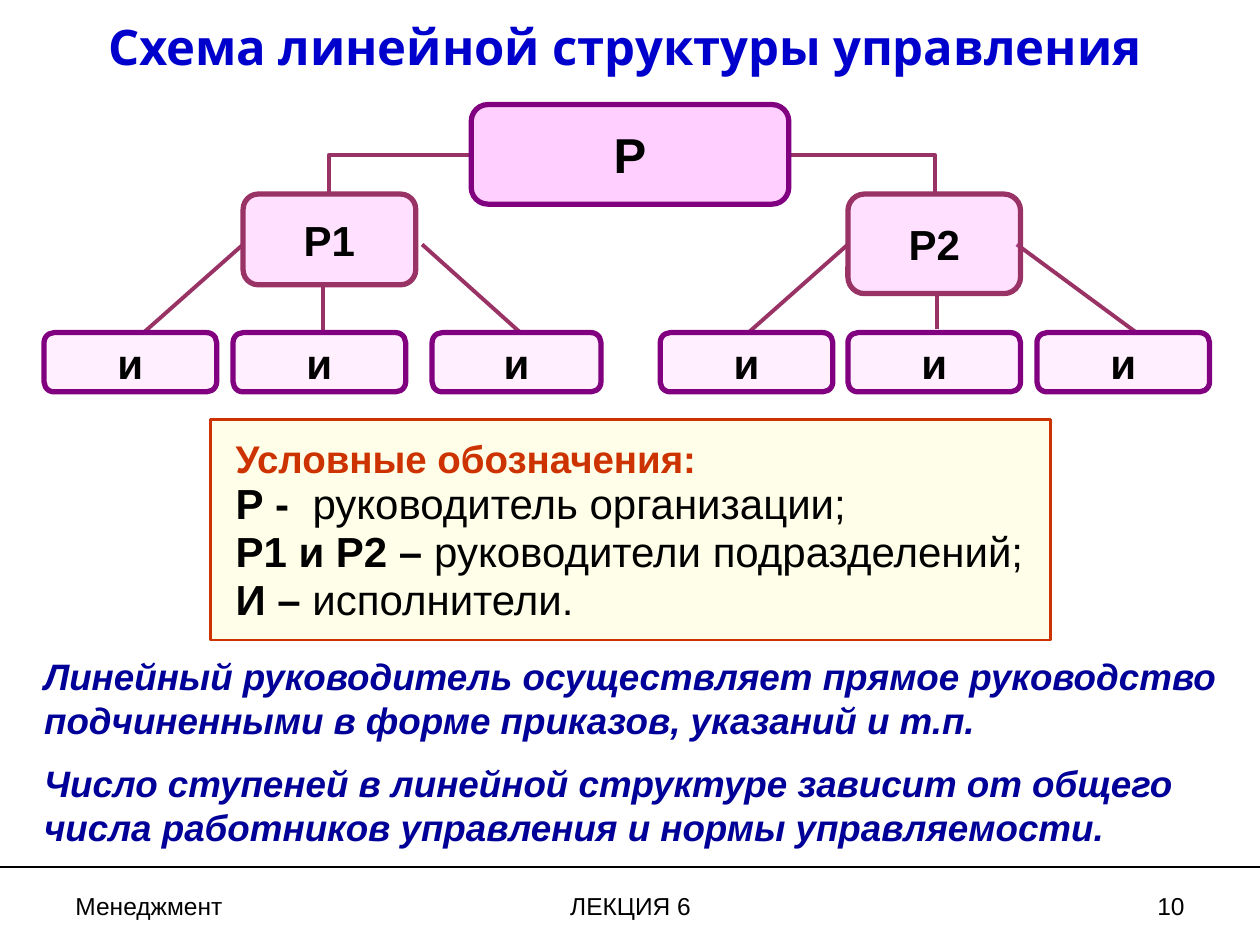
from lxml import etree
from pptx import Presentation
from pptx.dml.color import RGBColor
from pptx.enum.shapes import MSO_CONNECTOR, MSO_SHAPE
from pptx.enum.text import MSO_ANCHOR, PP_ALIGN
from pptx.oxml.ns import qn
from pptx.util import Inches, Pt

ROUND, RECT = MSO_SHAPE.ROUNDED_RECTANGLE, MSO_SHAPE.RECTANGLE
LINE, ELBOW = MSO_CONNECTOR.STRAIGHT, MSO_CONNECTOR.ELBOW
LEFT, MID, RIGHT = PP_ALIGN.LEFT, PP_ALIGN.CENTER, PP_ALIGN.RIGHT
TOP, CENTER = MSO_ANCHOR.TOP, MSO_ANCHOR.MIDDLE
BLACK = RGBColor(0x00, 0x00, 0x00)
BLUE = RGBColor(0x00, 0x00, 0xCC)
NAVY = RGBColor(0x00, 0x00, 0x99)
RED = RGBColor(0xCC, 0x33, 0x00)
CREAM = RGBColor(0xFF, 0xFF, 0xE9)
PINK = RGBColor(0xFF, 0x66, 0xFF)
PLUM = RGBColor(0x80, 0x00, 0x80)
WINE = RGBColor(0x99, 0x33, 0x66)

deck = Presentation()
deck.slide_width, deck.slide_height = Inches(10), Inches(7.5)
COL, ROW = deck.slide_width / 100, deck.slide_height / 75
slide = deck.slides.add_slide(deck.slide_layouts[1])
shapes = slide.shapes


def grid(x, y, w, h):
    return int(x * COL), int(y * ROW), int(w * COL), int(h * ROW)


def write(para, text, size, color=BLACK, bold=False, face="Arial"):
    run = para.add_run()
    run.text = text
    run.font.size, run.font.name = Pt(size), face
    run.font.bold, run.font.color.rgb = bold, color
    return run


title, body = shapes.title, slide.placeholders[1]
for box, place in ((title, (6.7, 0.8, 85.8, 5.7)), (body, (2.5, 51.4, 95.8, 16.5))):
    box.left, box.top, box.width, box.height = grid(*place)
    box.text_frame.word_wrap = True
    box.text_frame.vertical_anchor = TOP
head = title.text_frame.paragraphs[0]
head.alignment = MID
write(head, "Схема линейной структуры управления", 28, BLUE, True, "Karla")

notes = (
    "Линейный руководитель осуществляет прямое руководство подчиненными в форме приказов, указаний и т.п.",
    "Число ступеней в линейной структуре зависит от общего числа работников управления и нормы управляемости.",
)
for i, note in enumerate(notes):
    para = body.text_frame.add_paragraph() if i else body.text_frame.paragraphs[0]
    props = para._p.get_or_add_pPr()
    props.set("marL", "0")
    props.set("indent", "0")
    etree.SubElement(props, qn("a:buNone"))
    para.space_before, para.space_after = Pt(0), Pt(10.5)
    write(para, note, 21, NAVY, True).font.italic = True

links = [
    (LINE, 25.6, 22.5, 25.6, 26.2), (LINE, 74.4, 23.3, 74.4, 26.1),
    (ELBOW, 37.2, 12.3, 26.1, 15.2), (ELBOW, 62.8, 12.3, 74.2, 15.2),
    (LINE, 19.3, 19.4, 11.4, 26.4), (LINE, 33.5, 19.4, 41.3, 26.4),
    (LINE, 67.3, 19.4, 59.4, 26.4), (LINE, 80.7, 19.4, 90.2, 26.4),
    (LINE, 0, 68.8, 100, 68.8),
]
for kind, *ends in links:
    link = shapes.add_connector(kind, *grid(*ends))
    rule = ends[2] == 100
    link.line.color.rgb = BLACK if rule else WINE
    link.line.width = Pt(1.5 if rule else 2.25)
    props = link._element.spPr
    etree.SubElement(props, qn("a:effectLst"))
    if kind == ELBOW:
        props.find(qn("a:prstGeom")).set("prst", "bentConnector2")

nodes = [
    ("Р", 37.4, 8.3, 25.2, 7.9, 28, 30, PLUM),
    ("Р1", 19.3, 15.4, 13.7, 7.2, 24, 20, WINE),
    ("Р2", 67.3, 15.4, 13.7, 7.9, 24, 20, WINE),
]
for x, w in ((3.5, 13.7), (18.5, 13.7), (34.3, 13.4), (52.4, 13.7), (67.3, 13.7), (82.3, 13.7)):
    nodes.append(("и", x, 26.4, w, 4.7, 24, 10, PLUM))
for text, x, y, w, h, size, tint, edge in nodes:
    node = shapes.add_shape(ROUND, *grid(x, y, w, h))
    node.shadow.inherit = False
    node.fill.solid()
    node.fill.fore_color.rgb = PINK
    color = node._element.spPr.find(qn("a:solidFill"))[0]
    etree.SubElement(color, qn("a:alpha")).set("val", str(tint * 1000))
    node.line.color.rgb, node.line.width = edge, Pt(3)
    frame = node.text_frame
    frame.word_wrap, frame.vertical_anchor = False, CENTER
    frame.margin_left = frame.margin_right = int(0.8 * COL)
    frame.margin_top = frame.margin_bottom = int(0.4 * ROW)
    para = frame.paragraphs[0]
    para.alignment = MID
    write(para, text, size, BLACK, True)

key = shapes.add_shape(RECT, *grid(16.7, 33.3, 66.7, 17.5))
key.shadow.inherit = False
key.fill.solid()
key.fill.fore_color.rgb = CREAM
key.line.color.rgb, key.line.width = RED, Pt(1.5)
frame = key.text_frame
frame.word_wrap, frame.vertical_anchor = True, CENTER
frame.margin_left, frame.margin_right = int(2 * COL), int(COL)
para = frame.paragraphs[0]
para.alignment = LEFT
write(para, "Условные обозначения:", 22, RED, True)
terms = (
    ("Р - ", " руководитель организации;"),
    ("Р1 и Р2 – ", "руководители подразделений;"),
    ("И – ", "исполнители."),
)
for term, sense in terms:
    para = frame.add_paragraph()
    para.alignment, para.line_spacing = LEFT, 0.95
    write(para, term, 24, BLACK, True)
    write(para, sense, 24)

feet = (("Менеджмент", 5, 23.3, LEFT), ("ЛЕКЦИЯ 6", 34.2, 31.7, MID), ("10", 71.7, 23.3, RIGHT))
for text, x, w, align in feet:
    foot = shapes.add_textbox(*grid(x, 70.2, w, 3.4))
    foot.text_frame.word_wrap = True
    para = foot.text_frame.paragraphs[0]
    para.alignment = align
    write(para, text, 14)

deck.save("out.pptx")
